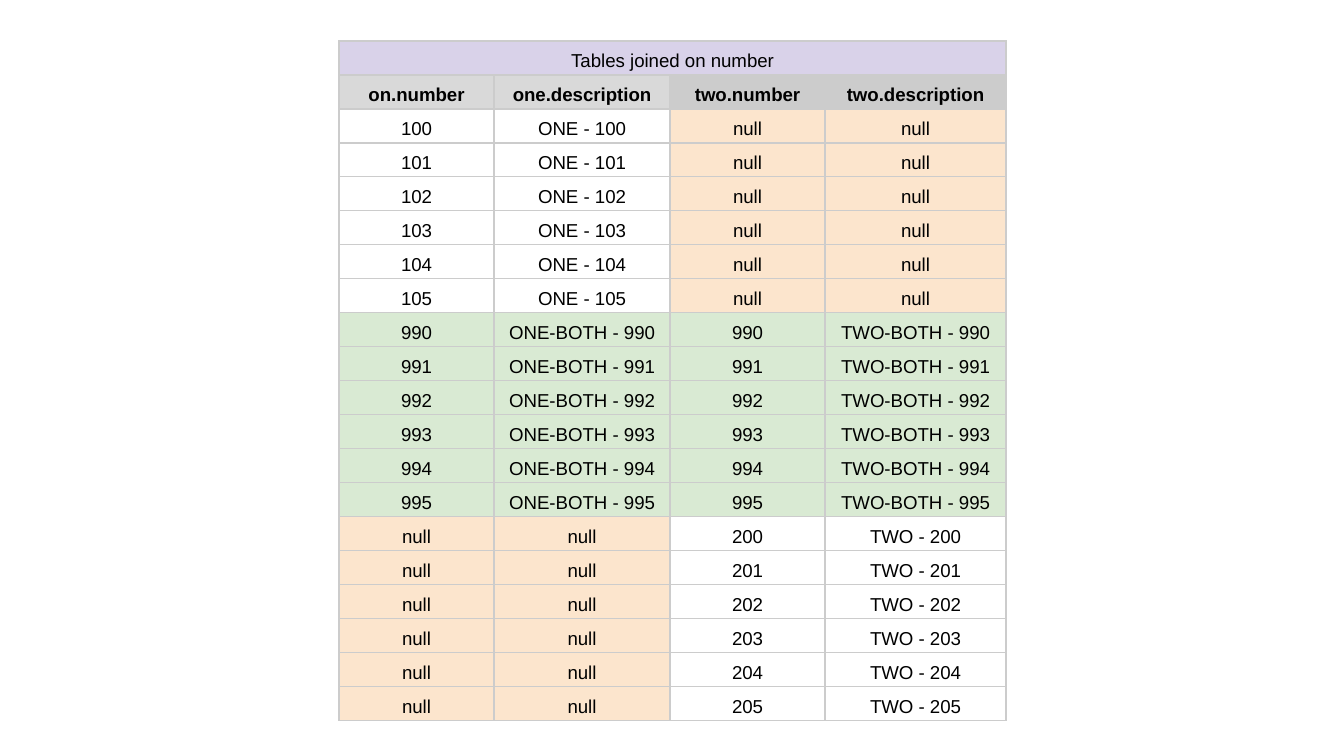
import lxml.etree
import pptx
import pptx.dml.color
import pptx.enum.text
import pptx.oxml
import pptx.oxml.ns
import pptx.util

PX = 914400 / 134.4  # EMU per px


class Theme:
    font = "Arial"
    size = 10
    line_spacing = 1.15
    text = "000000"
    border = "CCCCCC"
    border_width = 0.75
    title = "D9D2E9"
    header_one = "D9D9D9"
    header_two = "CCCCCC"
    missing = "FCE5CD"
    matched = "D9EAD3"


def px(length):
    return pptx.util.Emu(round(length * PX))


def add_borders(cell):
    properties = cell._tc.get_or_add_tcPr()
    width = pptx.util.Pt(Theme.border_width)
    for position, side in enumerate(("lnL", "lnR", "lnT", "lnB")):
        line = pptx.oxml.parse_xml(
            f'<a:{side} {pptx.oxml.ns.nsdecls("a")} w="{width}"><a:solidFill>'
            f'<a:srgbClr val="{Theme.border}"/></a:solidFill></a:{side}>'
        )
        properties.insert(position, line)


presentation = pptx.Presentation()
presentation.slide_width = px(1344)
presentation.slide_height = px(756)
slide = presentation.slides.add_slide(presentation.slide_layouts[6])

# Rows of the full outer join: (texts, fills)
rows = [
    (["Tables joined on number", "", "", ""], [Theme.title] * 4),
    (
        ["on.number", "one.description", "two.number", "two.description"],
        [Theme.header_one] * 2 + [Theme.header_two] * 2,
    ),
]
for number in range(100, 106):
    rows.append(([str(number), f"ONE - {number}", "null", "null"],
                 [None] * 2 + [Theme.missing] * 2))
for number in range(990, 996):
    rows.append(([str(number), f"ONE-BOTH - {number}", str(number), f"TWO-BOTH - {number}"],
                 [Theme.matched] * 4))
for number in range(200, 206):
    rows.append((["null", "null", str(number), f"TWO - {number}"],
                 [Theme.missing] * 2 + [None] * 2))

# Table grid
column_widths = [155, 176, 155, 181]
row_height = 34
table = slide.shapes.add_table(
    len(rows), len(column_widths), px(339), px(41),
    px(sum(column_widths)), px(row_height * len(rows)),
).table
table.first_row = False
table.horz_banding = False
for column, width in zip(table.columns, column_widths):
    column.width = px(width)
for row in table.rows:
    row.height = px(row_height)
table.cell(0, 0).merge(table.cell(0, 3))

# Cell contents
for row_index, (texts, fills) in enumerate(rows):
    for column_index, (text, fill) in enumerate(zip(texts, fills)):
        cell = table.cell(row_index, column_index)
        cell.margin_left = cell.margin_right = px(4)
        cell.margin_top = cell.margin_bottom = px(3)
        cell.vertical_anchor = pptx.enum.text.MSO_ANCHOR.BOTTOM
        if fill:
            cell.fill.solid()
            cell.fill.fore_color.rgb = pptx.dml.color.RGBColor.from_string(fill)
        else:
            cell.fill.background()
        add_borders(cell)
        if cell.is_spanned:
            continue
        cell.text_frame.text = text
        paragraph = cell.text_frame.paragraphs[0]
        paragraph.alignment = pptx.enum.text.PP_ALIGN.CENTER
        paragraph.line_spacing = Theme.line_spacing
        font = paragraph.runs[0].font
        font.name = Theme.font
        font.size = pptx.util.Pt(Theme.size)
        font.bold = row_index == 1
        font.color.rgb = pptx.dml.color.RGBColor.from_string(Theme.text)

presentation.save("out.pptx")
